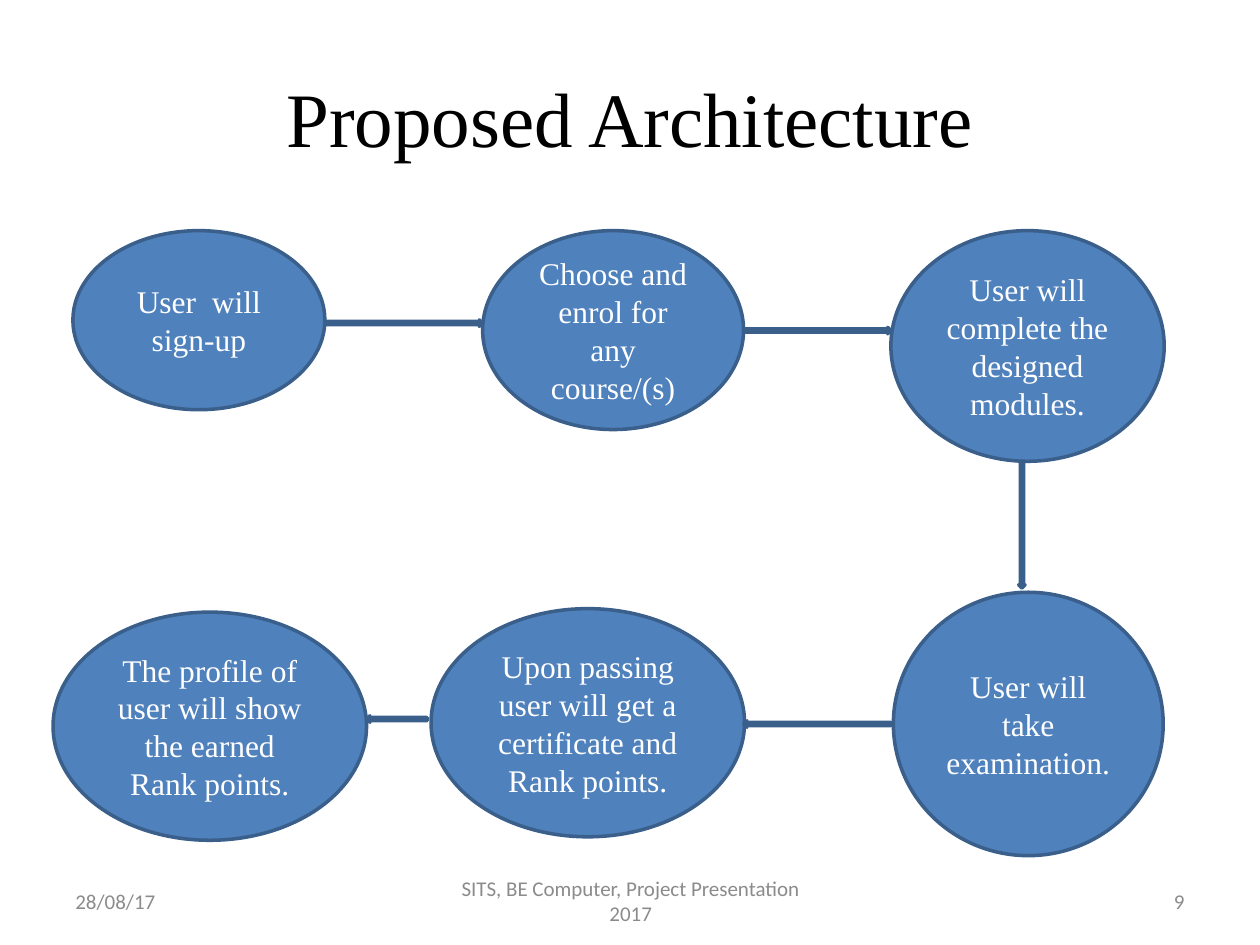
from pptx import Presentation
from pptx.dml.color import RGBColor
from pptx.enum.shapes import MSO_SHAPE
from pptx.enum.text import MSO_ANCHOR, PP_ALIGN
from pptx.util import Cm, Pt

OVAL = MSO_SHAPE.OVAL
ARROW = MSO_SHAPE.RIGHT_ARROW
MIDDLE = MSO_ANCHOR.MIDDLE
LEFT, CENTER, RIGHT = PP_ALIGN.LEFT, PP_ALIGN.CENTER, PP_ALIGN.RIGHT

BLACK = RGBColor(0x00, 0x00, 0x00)
WHITE = RGBColor(0xFF, 0xFF, 0xFF)
BLUE = RGBColor(0x4F, 0x81, 0xBD)
DARK_BLUE = RGBColor(0x3A, 0x5F, 0x8B)
GREY = RGBColor(0x8B, 0x8B, 0x8B)

SERIF, SANS = "Times New Roman", "Calibri"
TITLE_ONLY = 5
ARROW_THICKNESS = 0.13
TOP_ROW = 4.65
FOOTER_TOP, FOOTER_HEIGHT = 17.65, 1.02

# Text, left, top, width, height in cm
STEPS = [
    ("User  will sign-up", 1.47, TOP_ROW, 5.08, 3.61),
    ("Choose and enrol for any course/(s)", 9.73, TOP_ROW, 5.26, 4.01),
    ("User will complete the designed modules.", 17.96, TOP_ROW, 5.51, 4.65),
    ("User will take examination.", 18.01, 11.94, 5.44, 5.31),
    ("Upon passing user will get a certificate and Rank points.", 8.69, 12.27, 6.32, 4.6),
    ("The profile of user will show the earned Rank points.", 1.07, 12.34, 6.32, 4.6),
]

# Left, top, length in cm, rotation in degrees
ARROWS = [
    (6.55, 6.45, 3.18, 0),
    (14.99, 6.6, 2.97, 0),
    (19.33, 10.52, 2.54, 90),
    (14.99, 14.53, 2.97, 180),
    (7.39, 14.43, 1.22, 180),
]

# Text, left, width in cm, alignment
FOOTERS = [
    ("28/08/17", 1.27, 5.92, LEFT),
    ("SITS, BE Computer, Project Presentation 2017", 8.69, 8.05, CENTER),
    ("9", 18.21, 5.92, RIGHT),
]


class FlowSlide:
    def __init__(self, slide):
        self.slide = slide

    def set_text(self, shape, text, size, font, color, alignment=CENTER):
        frame = shape.text_frame
        frame.text = text
        frame.word_wrap = True
        frame.vertical_anchor = MIDDLE
        paragraph = frame.paragraphs[0]
        paragraph.alignment = alignment
        paragraph.font.size = Pt(size)
        paragraph.font.name = font
        paragraph.font.color.rgb = color

    def title(self, text, left, top, width, height):
        title = self.slide.shapes.title
        title.left, title.top = Cm(left), Cm(top)
        title.width, title.height = Cm(width), Cm(height)
        self.set_text(title, text, 44, SERIF, BLACK)

    def outlined(self, kind, left, top, width, height):
        shape = self.slide.shapes.add_shape(kind, Cm(left), Cm(top), Cm(width), Cm(height))
        shape.shadow.inherit = False
        shape.fill.solid()
        shape.fill.fore_color.rgb = BLUE
        shape.line.color.rgb = DARK_BLUE
        shape.line.width = Pt(2)
        return shape

    def step(self, text, left, top, width, height):
        shape = self.outlined(OVAL, left, top, width, height)
        self.set_text(shape, text, 18, SERIF, WHITE)

    def arrow(self, left, top, length, rotation):
        shape = self.outlined(ARROW, left, top, length, ARROW_THICKNESS)
        shape.rotation = rotation

    def footer(self, text, left, width, alignment):
        box = self.slide.shapes.add_textbox(
            Cm(left), Cm(FOOTER_TOP), Cm(width), Cm(FOOTER_HEIGHT))
        self.set_text(box, text, 12, SANS, GREY, alignment)


def main():
    presentation = Presentation()
    presentation.slide_width, presentation.slide_height = Cm(25.4), Cm(19.05)
    layout = presentation.slide_layouts[TITLE_ONLY]
    flow = FlowSlide(presentation.slides.add_slide(layout))

    flow.title("Proposed Architecture", 1.27, 0.76, 22.86, 3.18)

    # Process steps and the arrows between them
    for step in STEPS:
        flow.step(*step)
    for arrow in ARROWS:
        flow.arrow(*arrow)

    # Date, event and slide number
    for footer in FOOTERS:
        flow.footer(*footer)

    presentation.save("out.pptx")


if __name__ == "__main__":
    main()
